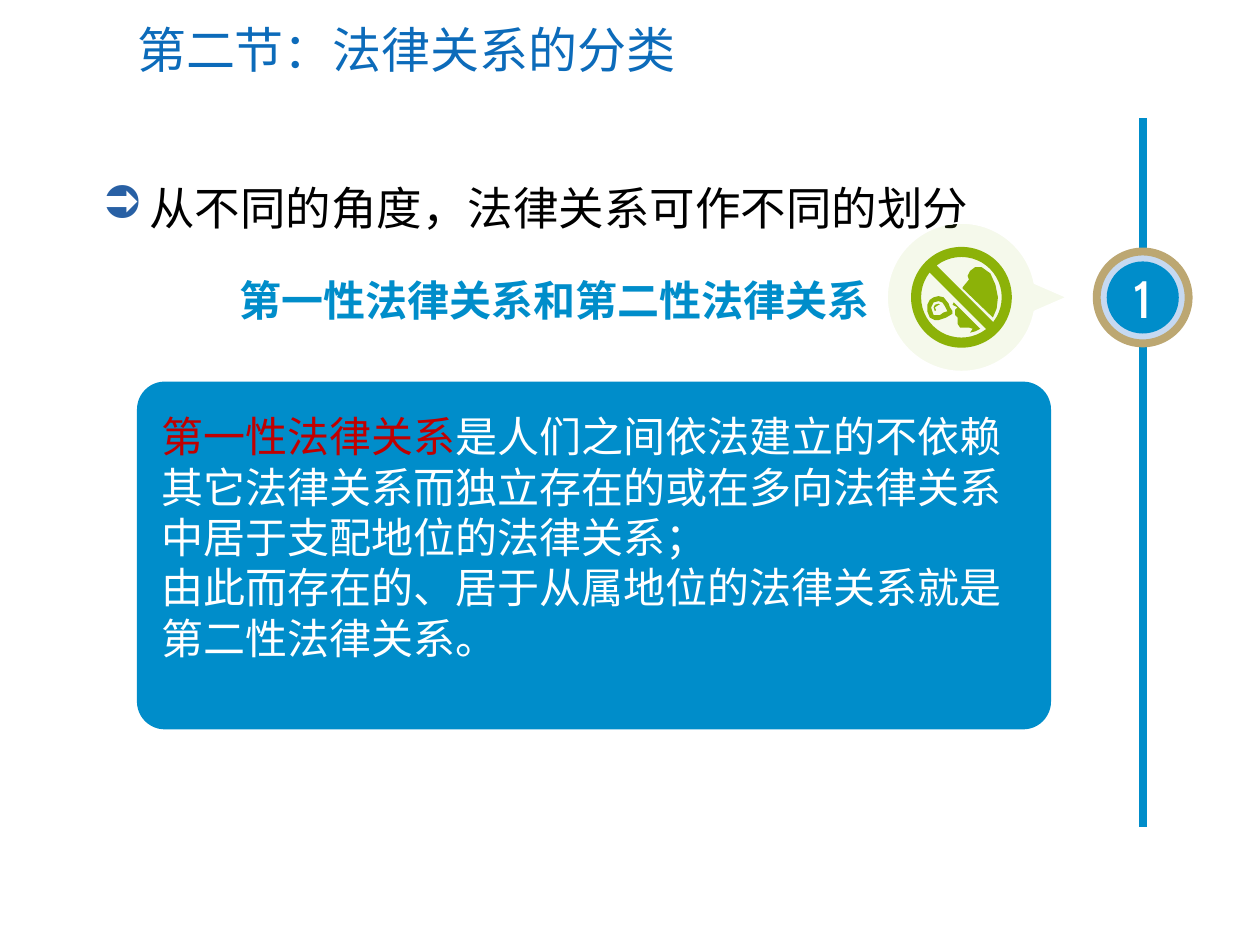
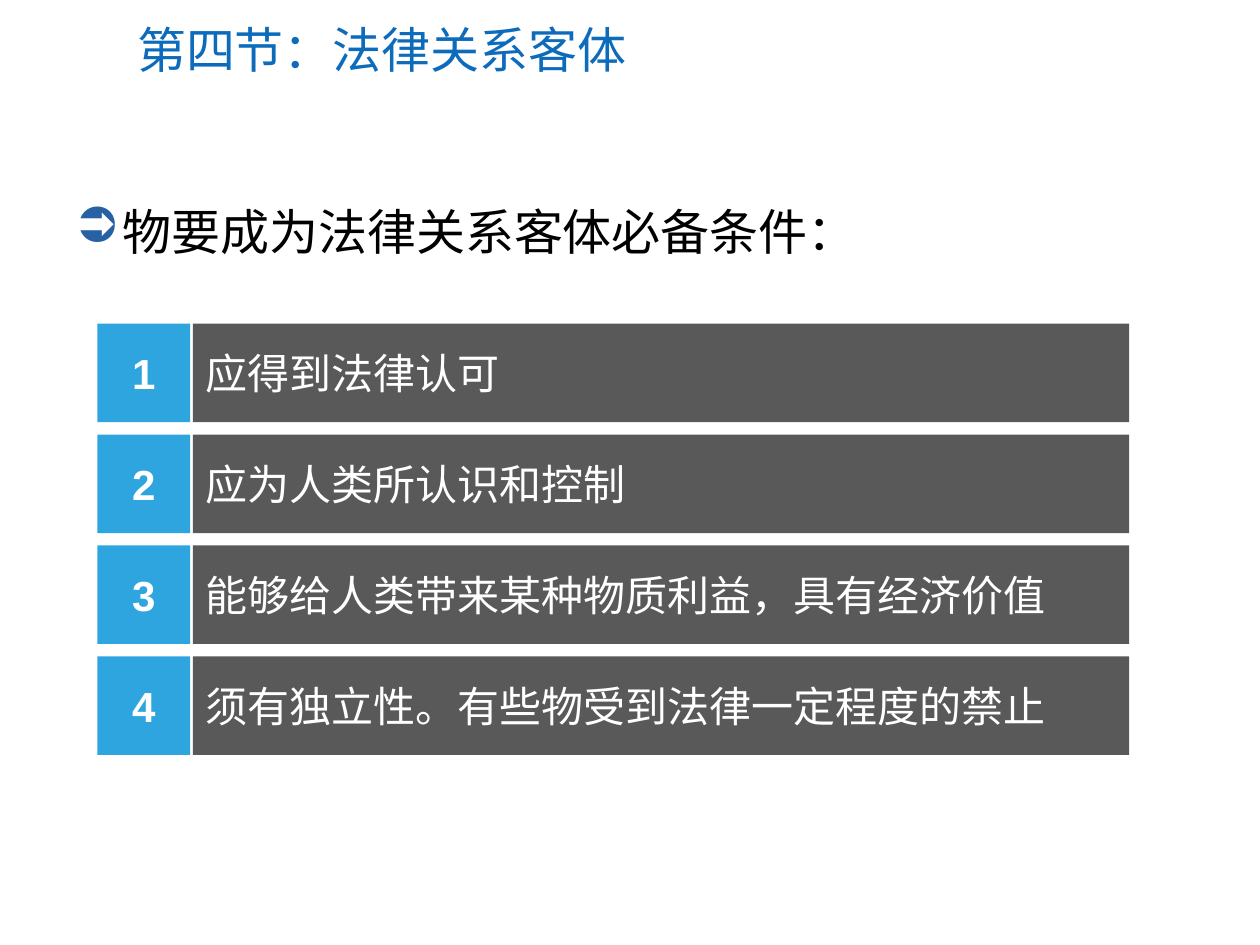
from dataclasses import dataclass

from lxml.etree import SubElement
from pptx import Presentation
from pptx.dml.color import RGBColor
from pptx.enum.shapes import MSO_CONNECTOR, MSO_SHAPE
from pptx.enum.text import MSO_ANCHOR, PP_ALIGN
from pptx.oxml.ns import qn
from pptx.util import Pt


@dataclass(frozen=True)
class Theme:
    # Colours
    title: str = "0C6BBA"
    bullet: str = "2860A4"
    text: str = "000000"
    white: str = "FFFFFF"
    blue: str = "008DCA"
    number_blue: str = "2EA5DF"
    grey: str = "595959"
    red: str = "C00000"
    ring_fill: str = "C6D9F1"
    ring_line: str = "BCA772"
    icon: str = "8CB208"
    callout: str = "9FCC3E"
    # Type
    title_size: int = 28
    body_size: int = 24
    badge_size: int = 30
    latin: str = "Calibri"
    number_font: str = "Arial"
    badge_font: str = "Cabin"
    chinese: str = "Noto Sans CJK SC"


THEME = Theme()

# Icon outlines in hundredths of an inch; later contours of a part are holes
MUG = [
    [(36, 242), (38, 238), (41, 236), (45, 235), (49, 236.5), (53, 241),
     (54, 244), (56.5, 247), (55.5, 249), (51, 251.5), (45, 254), (42, 254),
     (38.5, 251.5), (36, 247)],
    [(39.5, 247), (41, 249.5), (43, 250.5), (46, 250), (49, 248.5), (52, 247),
     (50, 243), (48, 240.5), (45, 239), (41, 240.5), (39, 243.5)],
    [(41.5, 247), (41, 244), (42.5, 241.7), (45, 241), (46, 241.5),
     (45, 242.3), (42.5, 243.5), (43, 246), (42, 247)],
]
CAP = [[(79, 212), (74, 212.5), (70, 215), (68, 219), (69, 222), (64, 228),
        (64, 229), (88, 252), (91, 245), (92, 236), (90.5, 226), (86, 217)]]
FACE = [[(57, 240), (56.5, 242), (60, 244), (58, 246), (57.5, 250),
         (60, 252), (60.5, 254), (60, 257), (62, 260), (69, 260), (71.5, 261),
         (70, 264), (74, 263), (78, 261)]]


def rgb(colour):
    return RGBColor.from_string(colour)


def format_object(target, values):
    for name, value in values.items():
        setattr(target, name, value)


def add_run(paragraph, text, size, colour, font=THEME.latin, bold=False):
    run = paragraph.add_run()
    run.text = text
    format_object(run.font, {"size": Pt(size), "bold": bold, "name": font})
    run.font.color.rgb = rgb(colour)
    SubElement(run.font._element, qn("a:ea"), typeface=THEME.chinese)


def set_frame(shape, anchor=MSO_ANCHOR.TOP, **values):
    frame = shape.text_frame
    format_object(frame, {"word_wrap": True, "vertical_anchor": anchor, **values})
    return frame


def add_text(slide, box, paragraphs, anchor=MSO_ANCHOR.TOP, align=PP_ALIGN.LEFT):
    """Each paragraph is a list of run arguments."""
    frame = set_frame(slide.shapes.add_textbox(*map(Pt, box)), anchor)
    for index, runs in enumerate(paragraphs):
        paragraph = frame.paragraphs[0] if index == 0 else frame.add_paragraph()
        paragraph.alignment = align
        for run in runs:
            add_run(paragraph, *run)
    return frame


def paint(shape, fill, line=None, width=1):
    shape.shadow.inherit = False
    shape.fill.solid()
    shape.fill.fore_color.rgb = rgb(fill)
    if line:
        shape.line.color.rgb = rgb(line)
        shape.line.width = Pt(width)
    else:
        shape.line.fill.background()


def add_panel(slide, kind, box, fill, line=None, width=1, adjustments=()):
    panel = slide.shapes.add_shape(kind, *map(Pt, box))
    paint(panel, fill, line, width)
    for index, value in enumerate(adjustments):
        panel.adjustments[index] = value
    return panel


def label_panel(panel, align, *run, **frame_values):
    paragraph = set_frame(panel, MSO_ANCHOR.MIDDLE, **frame_values).paragraphs[0]
    paragraph.alignment = align
    add_run(paragraph, *run)


def add_title(slide, text):
    add_text(slide, (71.3, 7.2, 627.8, 41.8),
             [[(text, THEME.title_size, THEME.title)]], MSO_ANCHOR.MIDDLE)


def add_bullet_line(slide, box, text, size):
    frame = add_text(slide, box, [[]])
    paragraph = frame.paragraphs[0]
    properties = paragraph._p.get_or_add_pPr()
    for name, length in {"marL": Pt(27), "indent": Pt(-27)}.items():
        properties.set(name, str(length))
    colour = SubElement(properties, qn("a:buClr"))
    SubElement(colour, qn("a:srgbClr"), val=THEME.bullet)
    SubElement(properties, qn("a:buChar"), char="➲")
    add_run(paragraph, text, size, THEME.text)


def add_callout(slide):
    callout = add_panel(slide, MSO_SHAPE.OVAL_CALLOUT, (506.9, 127.4, 85, 85),
                        THEME.callout, THEME.white, 1, (0.71, 0))
    colour = callout.fill._xPr.find(qn("a:solidFill"))[0]
    SubElement(colour, qn("a:alpha"), val="10000")


def add_timeline(slide, number):
    axis = 653
    rail = slide.shapes.add_connector(
        MSO_CONNECTOR.STRAIGHT, Pt(axis), Pt(67.5), Pt(axis), Pt(472.5))
    rail.line.color.rgb = rgb(THEME.blue)
    rail.line.width = Pt(4.5)
    SubElement(rail._element.spPr, qn("a:effectLst"))

    def disc(diameter, *colours):
        box = (axis - diameter / 2, 170 - diameter / 2, diameter, diameter)
        return add_panel(slide, MSO_SHAPE.OVAL, box, *colours)

    disc(52.5, THEME.ring_fill, THEME.ring_line, 4.5)
    insets = {f"margin_{side}": 0 for side in ("left", "top", "right", "bottom")}
    label_panel(disc(41.2, THEME.blue), PP_ALIGN.CENTER, number,
                THEME.badge_size, THEME.white, THEME.badge_font, **insets)


def add_icon_part(slide, contours):
    outline, *holes = contours
    builder = slide.shapes.build_freeform(
        700 + outline[0][0], outline[0][1], scale=Pt(0.72))
    builder.add_line_segments([(700 + x, y) for x, y in outline[1:]])
    for hole in holes:
        builder.move_to(700 + hole[0][0], hole[0][1])
        builder.add_line_segments([(700 + x, y) for x, y in hole[1:]])
    paint(builder.convert_to_shape(), THEME.icon)


def add_icon(slide):
    for part in (MUG, CAP, FACE):
        add_icon_part(slide, part)
    add_panel(slide, MSO_SHAPE.NO_SYMBOL, (520.6, 141.1, 57.6, 57.6),
              THEME.icon, adjustments=(0.1,))


def add_condition(slide, top, number, text):
    height = 56.3
    number_tile = add_panel(slide, MSO_SHAPE.RECTANGLE,
                            (55.7, top, 53, height), THEME.number_blue)
    label_panel(number_tile, PP_ALIGN.CENTER, str(number), THEME.body_size,
                THEME.white, THEME.number_font, True)
    text_bar = add_panel(slide, MSO_SHAPE.RECTANGLE,
                         (110.2, top, 535, height), THEME.grey)
    label_panel(text_bar, PP_ALIGN.LEFT, text, THEME.body_size, THEME.white)


def build_classification(slide):
    add_title(slide, "第二节：法律关系的分类")
    add_bullet_line(slide, (51.1, 99.4, 648, 43.9),
                    "从不同的角度，法律关系可作不同的划分", 26)
    add_callout(slide)
    add_panel(slide, MSO_SHAPE.ROUNDED_RECTANGLE, (78.3, 218.1, 522.3, 198.7),
              THEME.blue, adjustments=(0.08,))
    add_timeline(slide, "1")
    add_icon(slide)

    # Heading and definition
    size, font = THEME.body_size, THEME.chinese
    add_text(slide, (122.4, 153.4, 381.6, 36),
             [[("第一性法律关系和第二性法律关系", size, THEME.blue, font, True)]],
             align=PP_ALIGN.RIGHT)
    add_text(slide, (85.2, 231.1, 506.9, 152.6), [
        [("第一性法律关系", size, THEME.red, font),
         ("是人们之间依法建立的不依赖其它法律关系而独立存在的或在多向法律关系中"
          "居于支配地位的法律关系；", size, THEME.white, font)],
        [("由此而存在的、居于从属地位的法律关系就是第二性法律关系。",
          size, THEME.white, font)],
    ])


def build_conditions(slide):
    add_title(slide, "第四节：法律关系客体")
    add_bullet_line(slide, (36, 111.6, 648, 52.6),
                    "物要成为法律关系客体必备条件：", 28)
    conditions = (
        "应得到法律认可",
        "应为人类所认识和控制",
        "能够给人类带来某种物质利益，具有经济价值",
        "须有独立性。有些物受到法律一定程度的禁止",
    )
    for index, condition in enumerate(conditions):
        add_condition(slide, 185 + index * 63.35, index + 1, condition)


def main():
    deck = Presentation()
    format_object(deck, {"slide_width": Pt(720), "slide_height": Pt(540)})
    blank = deck.slide_layouts[6]
    for build in (build_classification, build_conditions):
        build(deck.slides.add_slide(blank))
    deck.save("out.pptx")


if __name__ == "__main__":
    main()
